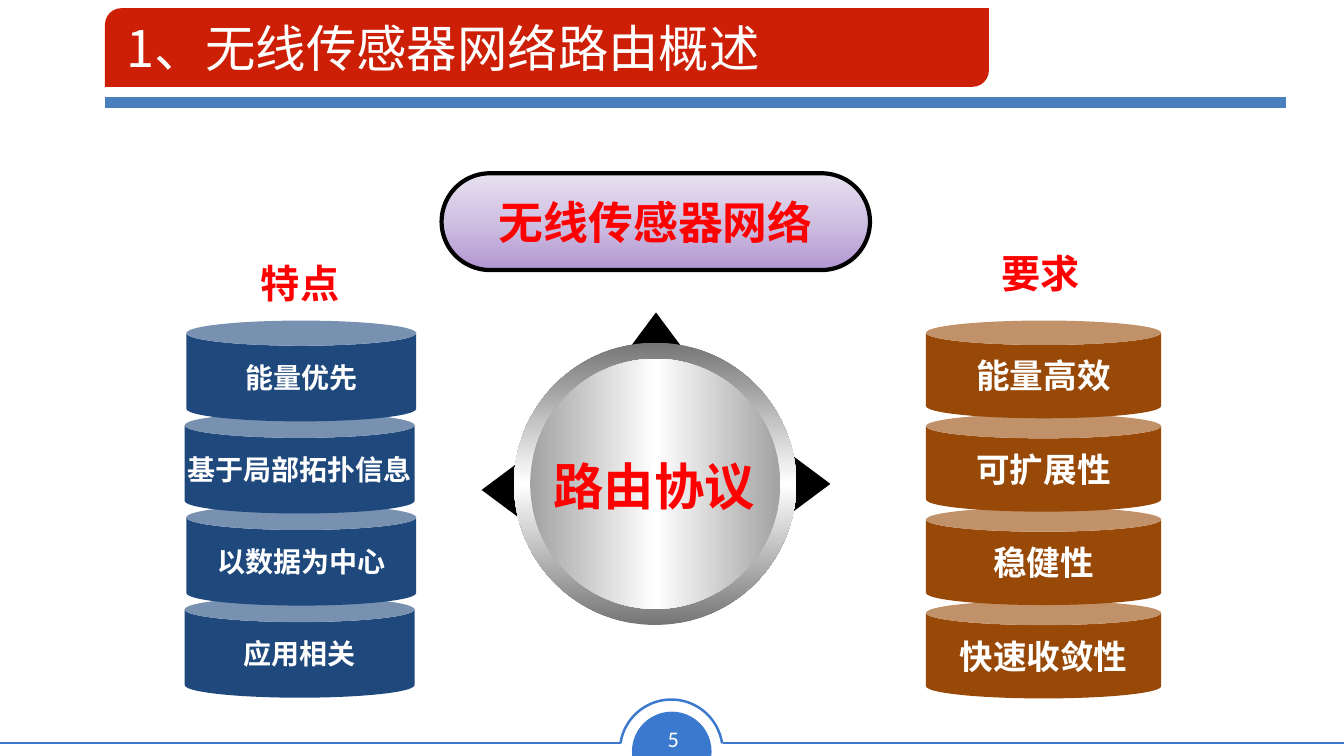
from lxml.etree import SubElement
from pptx import Presentation
from pptx.dml.color import RGBColor
from pptx.enum.shapes import MSO_CONNECTOR, MSO_SHAPE
from pptx.enum.text import MSO_ANCHOR, PP_ALIGN
from pptx.oxml.ns import qn
from pptx.util import Pt

WHITE = RGBColor(0xFF, 0xFF, 0xFF)
BLACK = RGBColor(0, 0, 0)
RED = RGBColor(0xFF, 0, 0)
TAB_RED = RGBColor(0xCD, 0x1F, 0x06)
RULE_BLUE = RGBColor(0x4B, 0x7E, 0xBC)
FOOTER_BLUE = RGBColor(0x3B, 0x79, 0xCE)
NAVY = RGBColor(0x1F, 0x49, 0x7D)
BROWN = RGBColor(0x98, 0x48, 0x07)
RING_GRAY = RGBColor(0x76, 0x76, 0x76)
DISC_GRAY = RGBColor(0xA2, 0xA2, 0xA2)
PURPLE = RGBColor(0xB1, 0x96, 0xD2)
LILAC = RGBColor(0xCF, 0xC0, 0xE2)
PALE_LILAC = RGBColor(0xE7, 0xE1, 0xF0)
CJK = "Noto Sans CJK SC"

prs = Presentation()
prs.slide_width, prs.slide_height = Pt(960), Pt(540)
slide = prs.slides.add_slide(prs.slide_layouts[5])
shapes = slide.shapes


def add_part(kind, box, colors, adjustments=(), angle=0):
    part = shapes.add_shape(kind, *map(Pt, box))
    part.shadow.inherit = False
    part.line.fill.background()
    for index, value in enumerate(adjustments):
        part.adjustments[index] = value
    if len(colors) == 1:
        part.fill.solid()
        part.fill.fore_color.rgb = colors[0]
    elif colors:
        part.fill.gradient()
        part.fill.gradient_angle = angle
        stops = part.element.spPr.find(".//" + qn("a:gsLst"))
        for stop in list(stops):
            stops.remove(stop)
        for index, color in enumerate(colors):
            stop = SubElement(stops, qn("a:gs"), pos=str(index * 50000))
            SubElement(stop, qn("a:srgbClr"), val=str(color))
    else:
        part.fill.background()
    return part


def write(part, text, color, size, bold=True, align=PP_ALIGN.CENTER, font=CJK):
    frame = part.text_frame
    frame.word_wrap = False
    frame.vertical_anchor = MSO_ANCHOR.MIDDLE
    paragraph = frame.paragraphs[0]
    paragraph.alignment = align
    run = paragraph.add_run()
    run.text = text
    for name, value in {"size": Pt(size), "bold": bold, "name": font}.items():
        setattr(run.font, name, value)
    run.font.color.rgb = color
    SubElement(run.font._element, qn("a:ea"), typeface=font)


page_dome = add_part(MSO_SHAPE.CHORD, (451.4, 508.3, 56.9, 56.9), [FOOTER_BLUE], (35.772, 153.29))
page_dome.rotation = 112.4
page_arc = add_part(MSO_SHAPE.ARC, (442.8, 499.7, 73.4, 73.4), [], (113.17, 210.975))
page_arc.line.color.rgb = FOOTER_BLUE
page_arc.line.width = Pt(1.77)

for left, right, y, color, width in (
    (516.2, 960, 530.6, FOOTER_BLUE, 1.77),
    (0, 443.5, 530.6, FOOTER_BLUE, 1.77),
    (75, 918.7, 73.2, RULE_BLUE, 8),
):
    rule = shapes.add_connector(MSO_CONNECTOR.STRAIGHT, Pt(left), Pt(y), Pt(right), Pt(y))
    rule.line.color.rgb = color
    rule.line.width = Pt(width)
    SubElement(rule.element.spPr, qn("a:effectLst"))

add_part(MSO_SHAPE.ROUND_2_DIAG_RECTANGLE, (75, 5.8, 631.4, 56.2), [TAB_RED], (0.209, 0))

title = shapes.title
for name, value in {"left": 83.5, "top": 7.2, "width": 833, "height": 53.3}.items():
    setattr(title, name, Pt(value))
write(title, "1、无线传感器网络路由概述", WHITE, 36, False, PP_ALIGN.LEFT)
title.element.getparent().append(title.element)

traits = ["能量优先", "基于局部拓扑信息", "以数据为中心", "应用相关"]
demands = ["能量高效", "可扩展性", "稳健性", "快速收敛性"]
for labels, left, stagger, width, height, pitch, color, size in (
    (traits, 133.1, 1.2, 164.2, 72, 65.8, NAVY, 20),
    (demands, 661.4, 0, 168, 69.8, 66.7, BROWN, 24),
):
    for row in reversed(range(len(labels))):
        box = (left - row % 2 * stagger, 229 + row * pitch, width, height)
        can = add_part(MSO_SHAPE.CAN, box, [color], (0.25,))
        write(can, labels[row], WHITE, size)

for left, top, rotation in ((560.9, 332.7, 90), (337.7, 337, 270), (449.3, 223.2, 0)):
    arrow = add_part(MSO_SHAPE.UP_ARROW, (left, top, 38.6, 25.9), [BLACK], (0.517, 1))
    arrow.rotation = rotation

add_part(MSO_SHAPE.OVAL, (367.2, 244.8, 201.6, 201.6), [RING_GRAY, WHITE, RING_GRAY], angle=90)
add_part(MSO_SHAPE.OVAL, (378.7, 256.3, 178.6, 178.6), [DISC_GRAY, WHITE, DISC_GRAY])

network = add_part(MSO_SHAPE.ROUNDED_RECTANGLE, (315.4, 123.8, 306, 69.1),
                   [PURPLE, LILAC, PALE_LILAC], (0.5,), 90)
network.line.color.rgb = BLACK
network.line.width = Pt(3)
write(network, "无线传感器网络", RED, 32)

for text, box, color, size, bold, align, font in (
    ("路由协议", (388.1, 321.8, 158.4, 50.4), RED, 36, True, PP_ALIGN.CENTER, CJK),
    ("特点", (179.3, 181.4, 70.6, 41), RED, 28, True, PP_ALIGN.LEFT, CJK),
    ("要求", (708.5, 174.2, 70.6, 41), RED, 28, True, PP_ALIGN.LEFT, CJK),
    ("5", (464.4, 514.1, 33.1, 26.6), WHITE, 16, False, PP_ALIGN.CENTER, "Calibri"),
):
    write(shapes.add_textbox(*map(Pt, box)), text, color, size, bold, align, font)

prs.save("out.pptx")
